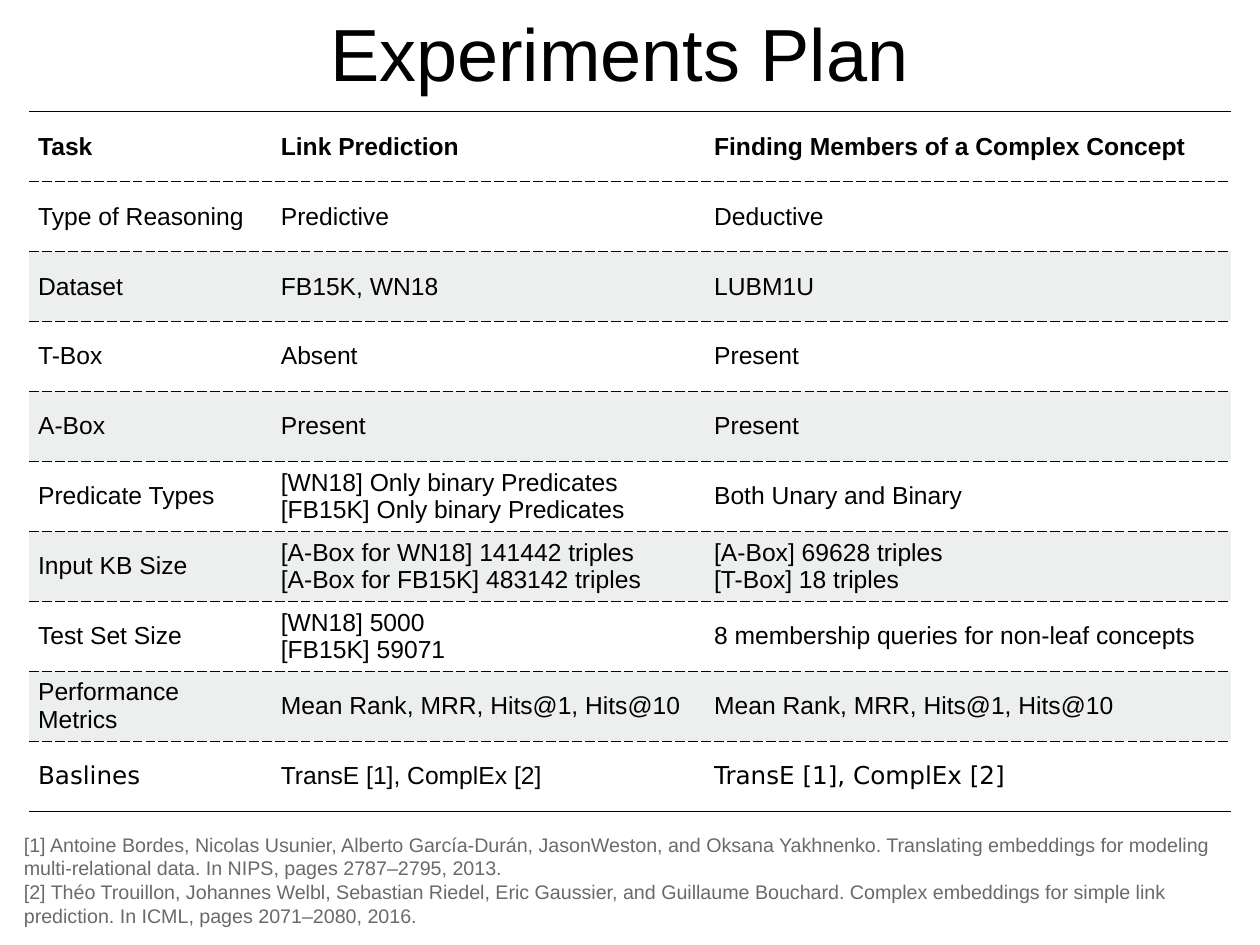
from dataclasses import dataclass

from lxml import etree
from pptx import Presentation
from pptx import util as u
from pptx.dml.color import RGBColor
from pptx.enum import text
from pptx.oxml.ns import qn


@dataclass(frozen=True)
class Theme:
    ink: str = "000000"
    band: str = "EDEEEE"
    reference: str = "6C6969"
    font: str = "Arial"
    alternate_font: str = "DejaVu Sans"
    title_size: int = 60
    table_size: int = 20
    reference_size: int = 16
    rule_width: int = 1


COLUMN_WIDTHS = (2.74, 4.89, 5.93)
ROW_HEIGHT = 0.79
BANDED_ROWS = (2, 4, 6, 8)
ALTERNATE_FONT_CELLS = ((9, 0), (9, 2))
PLAN = (
    ("Task", "Link Prediction", "Finding Members of a Complex Concept"),
    ("Type of Reasoning", "Predictive", "Deductive"),
    ("Dataset", "FB15K, WN18", "LUBM1U"),
    ("T-Box", "Absent", "Present"),
    ("A-Box", "Present", "Present"),
    ("Predicate Types",
     "[WN18] Only binary Predicates\n[FB15K] Only binary Predicates",
     "Both Unary and Binary"),
    ("Input KB Size",
     "[A-Box for WN18] 141442 triples\n[A-Box for FB15K] 483142 triples",
     "[A-Box] 69628 triples\n[T-Box] 18 triples"),
    ("Test Set Size", "[WN18] 5000\n[FB15K] 59071",
     "8 membership queries for non-leaf concepts"),
    ("Performance Metrics", "Mean Rank, MRR, Hits@1, Hits@10",
     "Mean Rank, MRR, Hits@1, Hits@10"),
    ("Baslines", "TransE [1], ComplEx [2]", "TransE [1], ComplEx [2]"),
)
REFERENCES = (
    "[1] Antoine Bordes, Nicolas Usunier, Alberto García-Durán, JasonWeston, "
    "and Oksana Yakhnenko. Translating embeddings for modeling "
    "multi-relational data. In NIPS, pages 2787–2795, 2013.\n"
    "[2] Théo Trouillon, Johannes Welbl, Sebastian Riedel, Eric Gaussier, "
    "and Guillaume Bouchard. Complex embeddings for simple link prediction. "
    "In ICML, pages 2071–2080, 2016."
)


class SlideBuilder:
    def __init__(self, slide, theme):
        self.slide = slide
        self.theme = theme

    def fill_text(self, frame, wording, size, color, font=None, bold=False,
                  align=text.PP_ALIGN.LEFT):
        """Fill a text frame, one paragraph for each line of wording."""
        frame.text = wording
        style = {"name": font or self.theme.font, "size": u.Pt(size), "bold": bold}
        for paragraph in frame.paragraphs:
            paragraph.alignment = align
            for run in paragraph.runs:
                for attribute, value in style.items():
                    setattr(run.font, attribute, value)
                run.font.color.rgb = RGBColor.from_string(color)

    def text_box(self, box, wording, size, color, **style):
        frame = self.slide.shapes.add_textbox(*map(u.Inches, box)).text_frame
        inset = u.Inches(0.06)
        layout = {"word_wrap": True, "vertical_anchor": text.MSO_ANCHOR.MIDDLE,
                  "margin_left": inset, "margin_right": inset,
                  "margin_top": inset, "margin_bottom": inset}
        for attribute, value in layout.items():
            setattr(frame, attribute, value)
        self.fill_text(frame, wording, size, color, **style)

    def border(self, cell, side, dash=None):
        """Rule one side of a cell; without a dash the side stays bare."""
        properties = cell._tc.get_or_add_tcPr()
        line = etree.SubElement(properties, qn(f"a:ln{side}"))
        if dash is None:
            line.set("w", "0")
            etree.SubElement(line, qn("a:noFill"))
            return
        line.set("w", str(u.Pt(self.theme.rule_width)))
        fill = etree.SubElement(line, qn("a:solidFill"))
        etree.SubElement(fill, qn("a:srgbClr"), val=self.theme.ink)
        etree.SubElement(line, qn("a:prstDash"), val=dash)

    def table(self, left, top, rows):
        box = (left, top, sum(COLUMN_WIDTHS), ROW_HEIGHT * len(rows))
        table = self.slide.shapes.add_table(
            len(rows), len(COLUMN_WIDTHS), *map(u.Inches, box)).table
        table.first_row = table.horz_banding = False
        for column, width in zip(table.columns, COLUMN_WIDTHS):
            column.width = u.Inches(width)
        last = len(rows) - 1
        for r, entries in enumerate(rows):
            table.rows[r].height = u.Inches(ROW_HEIGHT)
            for c, entry in enumerate(entries):
                cell = table.cell(r, c)
                cell.vertical_anchor = text.MSO_ANCHOR.MIDDLE
                font = self.theme.alternate_font if (r, c) in ALTERNATE_FONT_CELLS else None
                self.fill_text(cell.text_frame, entry, self.theme.table_size,
                               self.theme.ink, font=font, bold=r == 0)
                self.border(cell, "L")
                self.border(cell, "R")
                self.border(cell, "T", "solid" if r == 0 else "dash")
                self.border(cell, "B", "solid" if r == last else "dash")
                if r in BANDED_ROWS:
                    cell.fill.solid()
                    cell.fill.fore_color.rgb = RGBColor.from_string(self.theme.band)
                else:
                    cell.fill.background()


def main():
    deck = Presentation()
    deck.slide_width, deck.slide_height = u.Inches(14.22), u.Inches(10.67)
    theme = Theme()
    plan = SlideBuilder(deck.slides.add_slide(deck.slide_layouts[6]), theme)
    plan.text_box((0.92, 0.08, 12.14, 1.02), "Experiments Plan",
                  theme.title_size, theme.ink, align=text.PP_ALIGN.CENTER)
    plan.table(0.33, 1.26, PLAN)
    plan.text_box((0.21, 9.34, 13.8, 1.19), REFERENCES,
                  theme.reference_size, theme.reference)
    deck.save("out.pptx")


if __name__ == "__main__":
    main()
